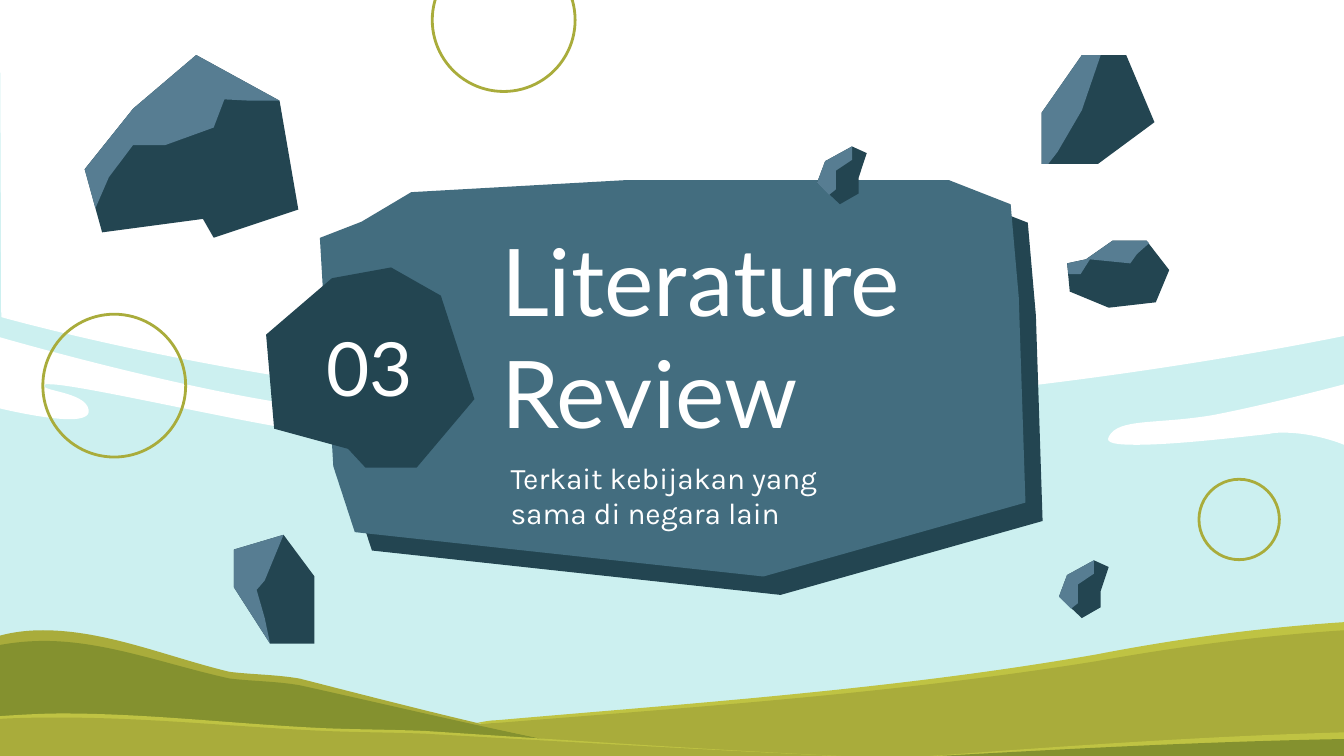
from lxml import etree
from pptx import Presentation
from pptx.dml.color import RGBColor
from pptx.enum.shapes import MSO_SHAPE
from pptx.enum.text import MSO_ANCHOR as ANCHOR, MSO_AUTO_SIZE as AUTO, PP_ALIGN as ALIGN
from pptx.oxml.ns import qn
from pptx.util import Cm, Pt

WHITE = RGBColor(0xFF, 0xFF, 0xFF)
SKY = RGBColor(0xCC, 0xF0, 0xF0)
OLIVE = RGBColor(0xA9, 0xAC, 0x3B)
LIME = RGBColor(0xBF, 0xC3, 0x43)
MOSS = RGBColor(0x84, 0x91, 0x2F)
SLATE = RGBColor(0x43, 0x6D, 0x7F)
DARK = RGBColor(0x23, 0x45, 0x51)
LIGHT = RGBColor(0x57, 0x7D, 0x92)

UNIT = Cm(2.54)  # outline coordinates are multiples of this length

prs = Presentation()
prs.slide_width, prs.slide_height = Cm(25.4), Cm(14.29)
s = prs.slides.add_slide(prs.slide_layouts[0])
s.background.fill.solid()
s.background.fill.fore_color.rgb = SKY


def outline(color, path, dx=0, dy=0):
    """Draw a closed outline; a pair is a corner, six numbers are a Bezier curve."""
    points = [((x + dx) * UNIT, (y + dy) * UNIT)
              for step in path for x, y in zip(step[::2], step[1::2])]
    builder = s.shapes.build_freeform(*points[0])
    builder.add_line_segments(points[1:], close=True)
    sp = builder.convert_to_shape()
    # Join the three lines through each curve's control points into one curve
    lines = iter(list(sp.element.iter(qn("a:lnTo"))))
    for step in path[1:]:
        line = next(lines)
        if len(step) == 6:
            line.addprevious(curve := etree.Element(qn("a:cubicBezTo")))
            for part in (line, next(lines), next(lines)):
                curve.append(part[0])
                part.getparent().remove(part)
    sp.shadow.inherit = False
    sp.fill.solid()
    sp.fill.fore_color.rgb = color
    sp.line.fill.background()
    return sp


def write(sp, text, at, font="Lato", size=16, align=ALIGN.LEFT, anchor=ANCHOR.MIDDLE):
    """Place a text shape on top and fill it with one formatted paragraph."""
    sp.left, sp.top, sp.width, sp.height = [Cm(v) for v in at]
    s.shapes.element.append(sp.element)
    tf = sp.text_frame
    tf.word_wrap = True
    tf.auto_size = AUTO.NONE
    tf.vertical_anchor = anchor
    tf.margin_left = tf.margin_right = tf.margin_top = tf.margin_bottom = Cm(0.25)
    p = tf.paragraphs[0]
    p.alignment = align
    p.line_spacing = 1.0
    p.space_before = p.space_after = Pt(0)
    r = p.add_run()
    r.text = text
    r.font.name, r.font.size = font, Pt(size)
    r.font.bold = False
    r.font.color.rgb = WHITE


# Sky and clouds
clouds = [
    [(0, 0), (0.01, 2.36), (0.01, 2.36, 2.45, 3.05, 4.92, 3.05),
     (7.39, 3.05, 10, 2.5, 10, 2.5), (10, 0)],
    [(0, 2.51), (0, 3.04), (0, 3.04, 0.33, 3.12, 0.52, 3.12),
     (0.61, 3.12, 0.67, 3.1, 0.66, 3.05), (0.64, 2.91, 0.26, 2.91, 0.34, 2.86),
     (0.34, 2.86, 0.35, 2.86, 0.37, 2.86), (0.61, 2.86, 2.03, 3.2, 2.39, 3.22),
     (2.43, 3.22, 2.47, 3.22, 2.51, 3.22), (2.86, 3.22, 3.16, 3.15, 2.32, 3.03),
     (1.38, 2.91, 0, 2.51, 0, 2.51)],
    [(10, 2.86), (10, 2.86, 9.44, 3.01, 9.02, 3.09), (8.6, 3.16, 8.32, 3.11, 8.25, 3.25),
     (8.22, 3.3, 8.31, 3.31, 8.46, 3.31), (8.75, 3.31, 9.25, 3.25, 9.44, 3.23),
     (9.48, 3.22, 9.51, 3.22, 9.55, 3.22), (9.79, 3.22, 10, 3.31, 10, 3.31)],
]
for cloud in clouds:
    outline(WHITE, cloud)

# Hills, each a bright edge followed by its body
hills = [
    (OLIVE, [(0.32, 4.69), (0.22, 4.69, 0.11, 4.7, 0, 4.73), (0, 5.64), (4.79, 5.64),
             (3.94, 5.49, 3.09, 5.27, 2.23, 5.05), (2.06, 5.02, 1.88, 5.02, 1.71, 5),
             (1.25, 4.89, 0.79, 4.69, 0.32, 4.69)]),
    (MOSS, [(0.33, 4.77), (0.22, 4.77, 0.11, 4.78, 0, 4.8), (0, 5.64), (4.79, 5.64),
            (3.94, 5.5, 3.09, 5.29, 2.23, 5.1), (2.06, 5.07, 1.88, 5.07, 1.71, 5.05),
            (1.25, 4.95, 0.79, 4.77, 0.33, 4.77)]),
    (LIME, [(10, 4.63), (9.39, 4.67, 8.78, 4.75, 8.16, 4.87),
            (6.67, 5.13, 5.19, 5.23, 3.7, 5.36), (3.65, 5.36, 3.6, 5.37, 3.55, 5.38),
            (3.97, 5.47, 4.38, 5.57, 4.79, 5.64), (8.59, 5.64),
            (9.06, 5.56, 9.53, 5.48, 10, 5.45)]),
    (OLIVE, [(10, 4.69), (9.39, 4.73, 8.78, 4.81, 8.16, 4.92),
             (6.67, 5.16, 5.19, 5.26, 3.7, 5.38), (3.65, 5.38, 3.6, 5.39, 3.55, 5.39),
             (3.97, 5.49, 4.38, 5.57, 4.79, 5.64), (8.59, 5.64),
             (9.06, 5.56, 9.53, 5.49, 10, 5.46)]),
    (LIME, [(0.46, 5.31), (0.31, 5.31, 0.15, 5.32, 0, 5.33), (0, 5.65), (6.78, 5.65),
            (5.58, 5.6, 4.38, 5.52, 3.16, 5.44), (2.91, 5.43, 2.67, 5.43, 2.42, 5.42),
            (1.76, 5.39, 1.11, 5.31, 0.46, 5.31)]),
    (OLIVE, [(0.46, 5.34), (0.31, 5.34, 0.15, 5.34, 0, 5.35), (0, 5.65), (6.78, 5.65),
             (5.58, 5.6, 4.38, 5.53, 3.16, 5.46), (2.91, 5.45, 2.67, 5.45, 2.42, 5.44),
             (1.76, 5.41, 1.11, 5.34, 0.46, 5.34)]),
    (LIME, [(10, 5.45), (8.91, 5.48, 7.82, 5.56, 6.73, 5.64), (10, 5.64)]),
    (MOSS, [(10, 5.5), (8.91, 5.52, 7.82, 5.58, 6.73, 5.64), (10, 5.64)]),
]
for color, hill in hills:
    outline(color, hill)

# Rings
for x, y, size in [(0.81, 5.94, 2.7), (22.66, 9.06, 1.52), (8.17, -0.97, 2.7)]:
    ring = s.shapes.add_shape(MSO_SHAPE.OVAL, Cm(x), Cm(y), Cm(size), Cm(size))
    ring.shadow.inherit = False
    ring.fill.background()
    ring.line.color.rgb = OLIVE
    ring.line.width = Pt(1.5)

# Title plate with a hard shadow
plate = outline(SLATE, [(4.66, 1.34), (3.06, 1.43), (2.69, 1.65), (2.38, 1.77), (2.48, 3.47),
                        (2.64, 3.96), (5.68, 4.29), (7.63, 3.74), (7.58, 2.21),
                        (7.52, 1.52), (7.06, 1.34)])
effects = plate.element.spPr.find(qn("a:effectLst"))
shadow = etree.SubElement(effects, qn("a:outerShdw"), blurRad="0", dist=str(Pt(13.5)),
                          dir=str(47 * 60000), algn="bl", rotWithShape="0")
etree.SubElement(shadow, qn("a:srgbClr"), val=str(DARK))

# Number badge
outline(DARK, [(2.91, 1.99), (2.47, 2.07), (1.98, 2.49), (2.04, 3.19), (2.59, 3.34),
               (2.72, 3.48), (3.1, 3.48), (3.53, 2.97), (3.28, 2.2)])

# Texts
title, subtitle = s.placeholders
write(title, "Literature Review", (9.22, 3.94, 9.93, 4.8), size=50)
write(subtitle, "Terkait kebijakan yang sama di negara lain", (9.4, 8.43, 7.7, 1.85),
      font="Karla", anchor=ANCHOR.TOP)
number = s.shapes.add_textbox(0, 0, 0, 0)
write(number, "03", (5.61, 6.1, 2.74, 1.68), size=40, align=ALIGN.CENTER)

# Rocks: dark body, light face, and the offset at which they stand
pebble = ([(6.34, 1.09), (6.14, 1.2), (6.08, 1.36), (6.25, 1.52), (6.39, 1.44),
           (6.39, 1.32), (6.45, 1.14)],
          [(6.34, 1.09), (6.14, 1.2), (6.08, 1.36), (6.17, 1.45), (6.22, 1.41),
           (6.22, 1.27), (6.34, 1.19)])
rocks = [
    ([(1.46, 0.41), (0.99, 0.81), (0.63, 1.26), (0.76, 1.73), (1.51, 1.63), (1.59, 1.77),
      (2.22, 1.56), (2.08, 0.75)],
     [(1.46, 0.41), (0.99, 0.81), (0.63, 1.26), (0.71, 1.55), (0.81, 1.32), (0.99, 1.08),
      (1.23, 1.08), (1.59, 0.95), (1.67, 0.74), (1.86, 0.75), (2.08, 0.75)], 0, 0),
    ([(8.05, 0.41), (7.75, 0.84), (7.75, 1.22), (8.17, 1.22), (8.59, 0.91), (8.38, 0.41)],
     [(8.05, 0.41), (7.75, 0.84), (7.75, 1.22), (7.8, 1.22), (7.87, 1.13), (8.05, 0.82),
      (8.19, 0.41)], 0, 0),
    ([(8.28, 1.79), (8.08, 1.93), (7.94, 1.96), (7.96, 2.17), (8.25, 2.29), (8.6, 2.25),
      (8.7, 2.01), (8.53, 1.79)],
     [(8.28, 1.79), (8.08, 1.93), (7.94, 1.96), (7.95, 2.04), (8.04, 2.04), (8.11, 1.93),
      (8.41, 1.96), (8.46, 1.89), (8.55, 1.81), (8.53, 1.79)], 0, 0),
    ([(2.11, 3.98), (1.74, 4.09), (1.74, 4.37), (2.01, 4.79), (2.34, 4.79), (2.34, 4.29)],
     [(2.11, 3.98), (1.74, 4.09), (1.74, 4.37), (2.01, 4.79), (1.97, 4.6), (1.91, 4.39),
      (1.97, 4.32), (2.04, 4.15)], 0, 0),
    (*pebble, 0, 0),
    (*pebble, 1.8, 3.08),
]
for body, face, dx, dy in rocks:
    outline(DARK, body, dx, dy)
    outline(LIGHT, face, dx, dy)

prs.save("out.pptx")
